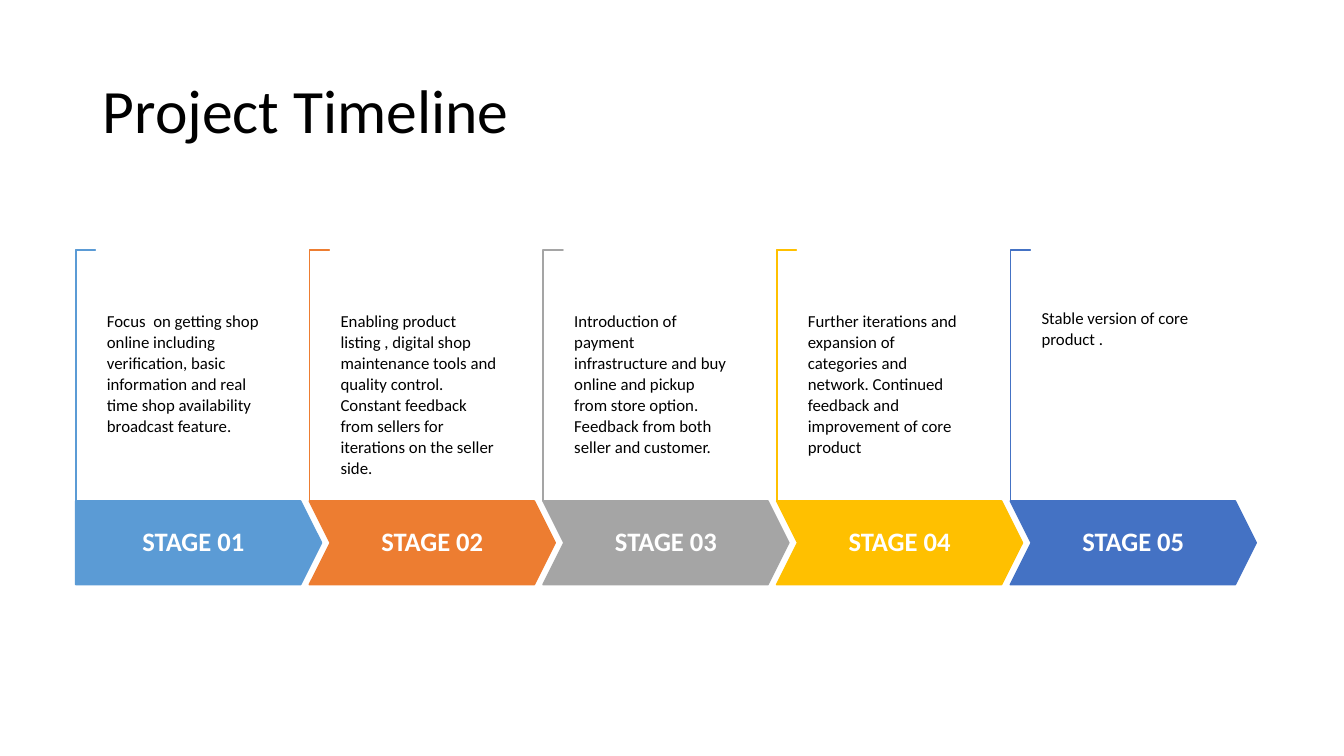
from pptx import Presentation
from pptx.dml.color import RGBColor
from pptx.enum.shapes import MSO_SHAPE as Shape
from pptx.enum.text import MSO_ANCHOR as Anchor, PP_ALIGN as Align
from pptx.util import Inches, Pt

# Content
TITLE = "Project Timeline"
BLACK = RGBColor(0x00, 0x00, 0x00)
WHITE = RGBColor(0xFF, 0xFF, 0xFF)
BLUE = RGBColor(0x5B, 0x9B, 0xD5)
ORANGE = RGBColor(0xED, 0x7D, 0x31)
GRAY = RGBColor(0xA5, 0xA5, 0xA5)
GOLD = RGBColor(0xFF, 0xC0, 0x00)
NAVY = RGBColor(0x44, 0x72, 0xC4)
STAGES = [
    (BLUE, "Focus  on getting shop online including verification, basic "
           "information and real time shop availability broadcast feature."),
    (ORANGE, "Enabling product listing , digital shop maintenance tools and "
             "quality control. Constant feedback from sellers for iterations "
             "on the seller side."),
    (GRAY, "Introduction of payment infrastructure and buy online and pickup "
           "from store option. Feedback from both seller and customer."),
    (GOLD, "Further iterations and expansion of categories and network. "
           "Continued feedback and improvement of core product"),
    (NAVY, "Stable version of core product ."),
]

# Grid, in inches
FONT = "Calibri"
LEFT, RIGHT = 0.75, 12.46
ARROW_TOP, ARROW_WIDTH, ARROW_HEIGHT = 4.97, 2.44, 0.83
PITCH = (RIGHT - LEFT - ARROW_WIDTH) / (len(STAGES) - 1)
BRACKET_HEIGHT, BRACKET_WIDTH = 2.49, 0.2
NOTE_OFFSET, NOTE_TOP, NOTE_WIDTH, NOTE_HEIGHT = 0.19, 2.6, 1.98, 1.81


def write(shape, text, size, color, align, anchor, spacing, insets, bold=False):
    frame = shape.text_frame
    frame.word_wrap = True
    frame.vertical_anchor = anchor
    (frame.margin_left, frame.margin_top,
     frame.margin_right, frame.margin_bottom) = map(Inches, insets)
    paragraph = frame.paragraphs[0]
    paragraph.alignment = align
    paragraph.line_spacing = spacing
    run = paragraph.add_run()
    run.text = text
    run.font.name = FONT
    run.font.size = Pt(size)
    run.font.bold = bold
    run.font.color.rgb = color


def add_outlined(kind, left, top, width, height, fill, line):
    shape = slide.shapes.add_shape(kind, *map(Inches, (left, top, width, height)))
    shape.shadow.inherit = False
    shape.fill.solid()
    shape.fill.fore_color.rgb = fill
    shape.line.color.rgb = line
    shape.line.width = Pt(1)
    return shape


presentation = Presentation()
presentation.slide_width = Inches(13.33)
presentation.slide_height = Inches(7.5)
slide = presentation.slides.add_slide(presentation.slide_layouts[5])

# Title
title = slide.shapes.title
title.left, title.top, title.width, title.height = map(Inches, (0.92, 0.4, 11.5, 1.45))
write(title, TITLE, 44, BLACK, Align.LEFT, Anchor.MIDDLE, 0.9, (0.1, 0.05, 0.1, 0.05))

for index, (color, note) in enumerate(STAGES):
    left = LEFT + index * PITCH

    # Bracket: a thin corner turned a quarter, standing on the arrow
    turn = (BRACKET_HEIGHT - BRACKET_WIDTH) / 2
    bracket = add_outlined(Shape.CORNER, left - turn, ARROW_TOP - BRACKET_HEIGHT + turn,
                           BRACKET_HEIGHT, BRACKET_WIDTH, WHITE, color)
    bracket.rotation = 90
    for side in range(2):
        bracket.adjustments[side] = 0.01

    # Stage arrow with its label
    kind = Shape.CHEVRON if index else Shape.PENTAGON
    arrow = add_outlined(kind, left, ARROW_TOP, ARROW_WIDTH, ARROW_HEIGHT, color, color)
    arrow.adjustments[0] = 0.25
    write(arrow, f"STAGE {index + 1:02}", 19, WHITE, Align.CENTER, Anchor.MIDDLE,
          0.9, (0.13, 0.26, 0.13, 0.26), bold=True)

    # Description
    box = slide.shapes.add_textbox(*map(Inches, (left + NOTE_OFFSET, NOTE_TOP,
                                                 NOTE_WIDTH, NOTE_HEIGHT)))
    write(box, note, 12, BLACK, Align.LEFT, Anchor.TOP, Pt(15), (0.12, 0.47, 0.31, 0))

presentation.save("out.pptx")
